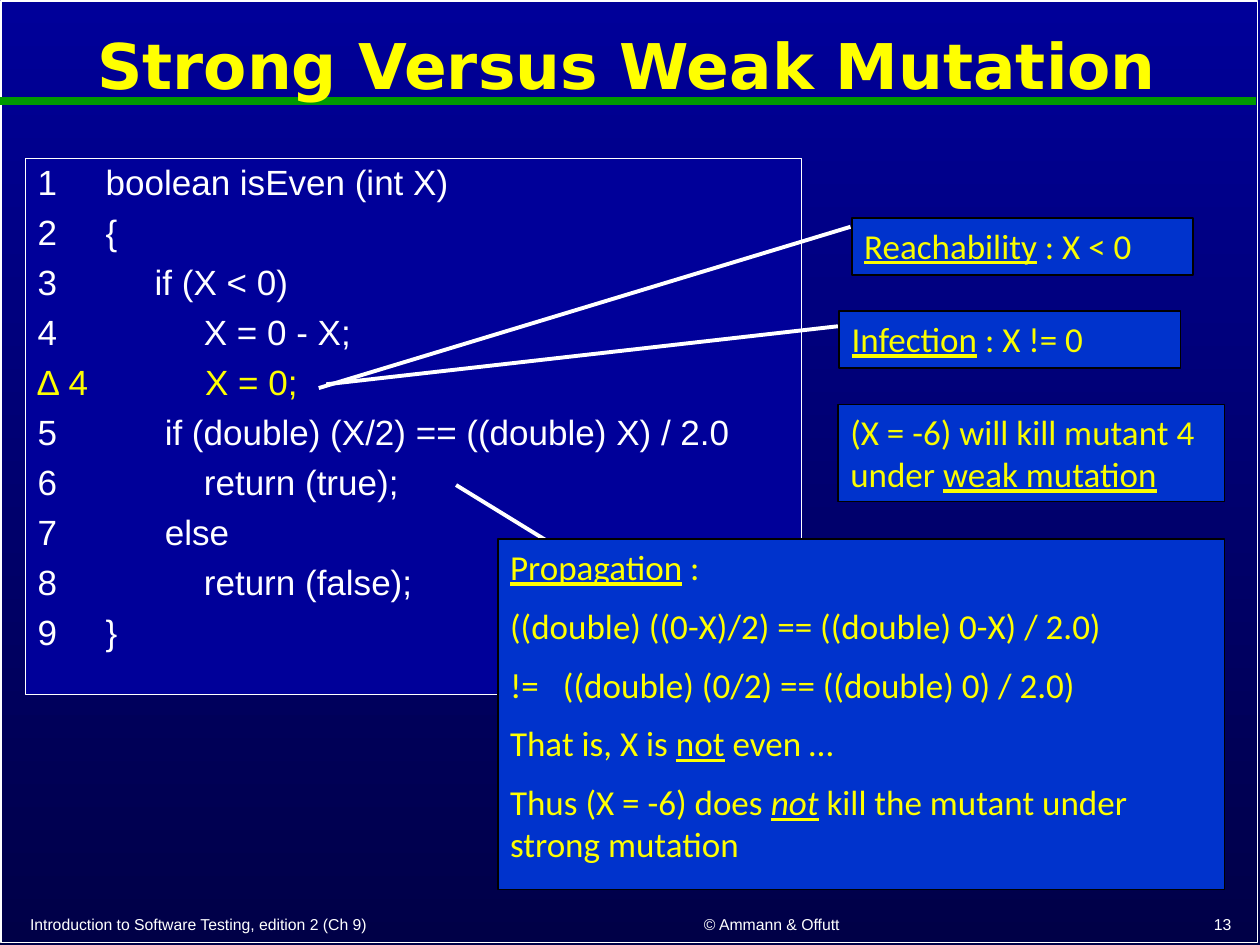
from lxml.etree import SubElement as Sub
from pptx import Presentation
from pptx.dml.color import RGBColor as Rgb
from pptx.enum.shapes import MSO_CONNECTOR as Link, MSO_SHAPE as Kind
from pptx.enum.text import MSO_ANCHOR as Anchor, PP_ALIGN as Align
from pptx.oxml.ns import qn
from pptx.util import Inches, Pt

HUES = {"top": "000099", "base": "000047", "box": "0033CC", "edge": "000000",
        "text": "FFFFFF", "bar": "009900", "title": "FFFF00", "note": "FAFD00"}

TITLE = "Strong Versus Weak Mutation"
CODE = [
    ("1", 0.54, "boolean isEven (int X)"),
    ("2", 0.54, "{"),
    ("3", 0.93, "if (X < 0)"),
    ("4", 1.32, "X = 0 - X;"),
    ("∆ 4", 1.33, "X = 0;"),
    ("5", 1.01, "if (double) (X/2) == ((double) X) / 2.0"),
    ("6", 1.32, "return (true);"),
    ("7", 1.01, "else"),
    ("8", 1.32, "return (false);"),
    ("9", 0.54, "}"),
]
RAYS = [(67.5, 24, 25.3, 41.07), (66.5, 34.53, 25.9, 40.67),
        (50.7, 63.2, 36.2, 51.33)]
NOTES = [
    ((67.6, 23.07, 27.1, 6), "note",
     [[("Reachability", "u"), (" : X < 0", "")]]),
    ((66.6, 32.93, 27.1, 6), "note",
     [[("Infection", "u"), (" : X != 0", "")]]),
    ((66.5, 42.8, 30.7, 10.27), "note",
     [[("(X = -6) will kill mutant 4 under ", ""), ("weak mutation", "u")]]),
    ((39.5, 57.07, 57.7, 37.07), "title", [
        [("Propagation", "u"), (" :", "")],
        [("((double) ((0-X)/2) == ((double) 0-X) / 2.0)", "")],
        [("!=\t((double) (0/2) == ((double) 0) / 2.0)", "")],
        [("That is, X is ", ""), ("not", "u"), (" even …", "")],
        [("Thus (X = -6) does ", ""), ("not", "iu"),
         (" kill the mutant under strong mutation", "")],
    ]),
]
FOOT = [
    ((1.4, 95.73, 42.6, 3.73), Align.LEFT,
     "Introduction to Software Testing, edition 2 (Ch 9)"),
    ((45.4, 95.6, 31.7, 3.87), Align.CENTER, "© Ammann & Offutt"),
    ((78.8, 95.6, 19.9, 3.87), Align.RIGHT, "13"),
]

deck = Presentation()
deck.slide_width, deck.slide_height = Inches(10), Inches(7.5)
slide = deck.slides.add_slide(deck.slide_layouts[5])
shapes = slide.shapes


def hue(key):
    return Rgb.from_string(HUES[key])


def spot(rect):
    sides = (deck.slide_width, deck.slide_height) * 2
    return [round(part * side / 100) for part, side in zip(rect, sides)]


def line(ends, key, width):
    item = shapes.add_connector(Link.STRAIGHT, *spot(ends))
    item.line.color.rgb = hue(key)
    item.line.width = Pt(width)
    Sub(item.element.spPr, qn("a:effectLst"))


def box(rect, fill, edge, width):
    item = shapes.add_shape(Kind.RECTANGLE, *spot(rect))
    item.shadow.inherit = False
    if fill:
        item.fill.solid()
        item.fill.fore_color.rgb = hue(fill)
    else:
        item.fill.background()
    item.line.color.rgb = hue(edge)
    item.line.width = Pt(width)
    frame = item.text_frame
    frame.word_wrap = True
    frame.vertical_anchor = Anchor.TOP
    return frame


def write(para, runs, face, size, key, align=Align.LEFT):
    para.alignment = align
    for text, style in runs:
        run = para.add_run()
        run.text = text
        font = run.font
        font.name, font.size = face, Pt(size)
        font.color.rgb = hue(key)
        font.underline = "u" in style
        font.italic = "i" in style
        font.bold = "b" in style


def hang(para, width):
    props = para._p.get_or_add_pPr()
    props.set("marL", str(Inches(width)))
    props.set("indent", str(-Inches(width)))


def paras(frame, count, gap):
    for i in range(count):
        para = frame.add_paragraph() if i else frame.paragraphs[0]
        para.space_before = Pt(gap if i else 0)
        yield para


fill = slide.background.fill
fill.gradient()
fill.gradient_angle = 270
for stop, key, place in zip(fill.gradient_stops, ("top", "base"), (0, 1)):
    stop.color.rgb = hue(key)
    stop.position = place

box((0.1, 0.13, 99.7, 99.6), None, "text", 1)
line((0, 10.67, 99.7, 10.67), "bar", 4.5)

for rect, align, text in FOOT:
    frame = shapes.add_textbox(*spot(rect)).text_frame
    frame.word_wrap = True
    frame.vertical_anchor = Anchor.BOTTOM
    write(frame.paragraphs[0], [(text, "")], "Arial", 9, "text", align)

title = shapes.title
title.left, title.top, title.width, title.height = spot((0.1, 1.47, 99.3, 11.73))
title.element.getparent().append(title.element)
title.text_frame.vertical_anchor = Anchor.MIDDLE
head = title.text_frame.paragraphs[0]
head.line_spacing = 0.9
write(head, [(TITLE, "b")], "DejaVu Sans", 36, "title", Align.CENTER)

frame = box((2, 16.8, 61.6, 56.67), "top", "text", 0.75)
for para, (num, inset, text) in zip(paras(frame, len(CODE), 7), CODE):
    para.line_spacing = 0.9
    hang(para, inset)
    key = "title" if num.startswith("∆") else "text"
    write(para, [(f"{num}\t{text}", "")], "Arial", 20, key)

for ends in RAYS:
    line(ends, "text", 2.25)

for rect, key, lines in NOTES:
    frame = box(rect, "box", "edge", 1)
    for para, runs in zip(paras(frame, len(lines), 9.6), lines):
        if "\t" in runs[0][0]:
            hang(para, 0.42)
        write(para, runs, "Calibri", 20, key)

deck.save("out.pptx")
